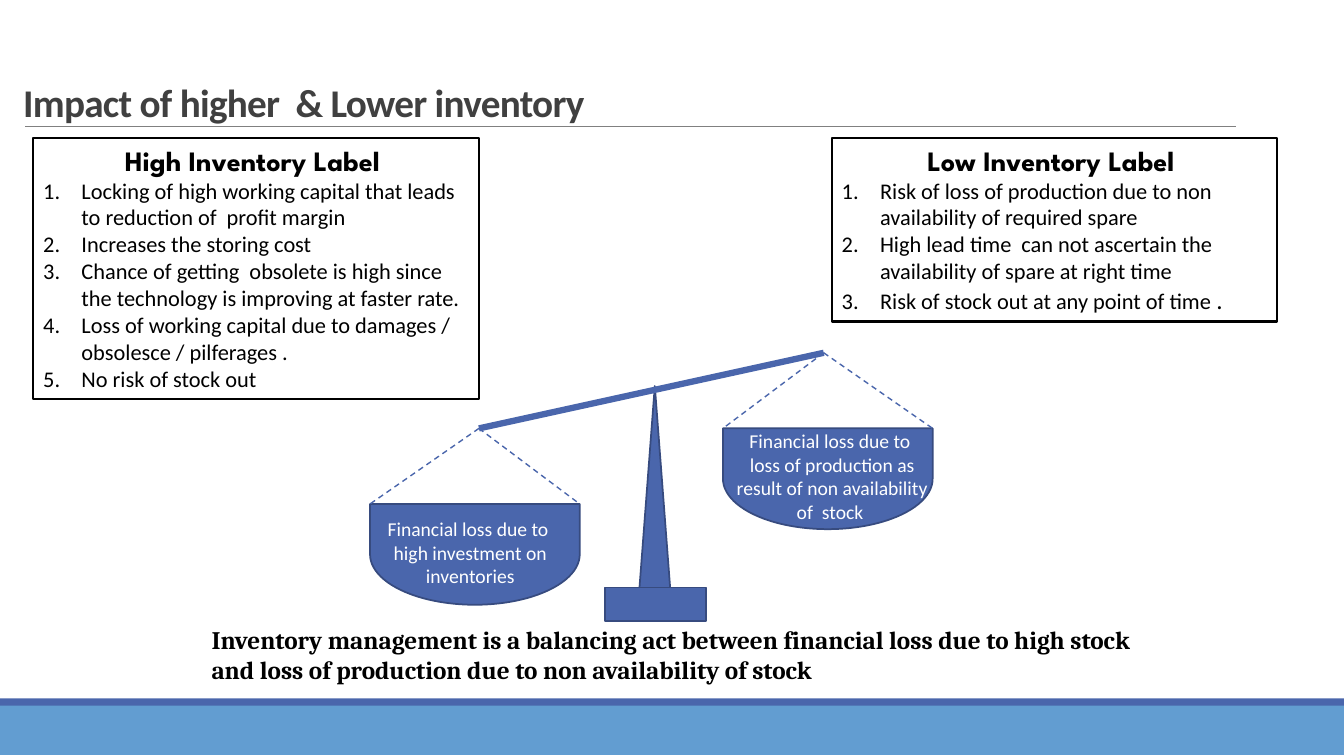
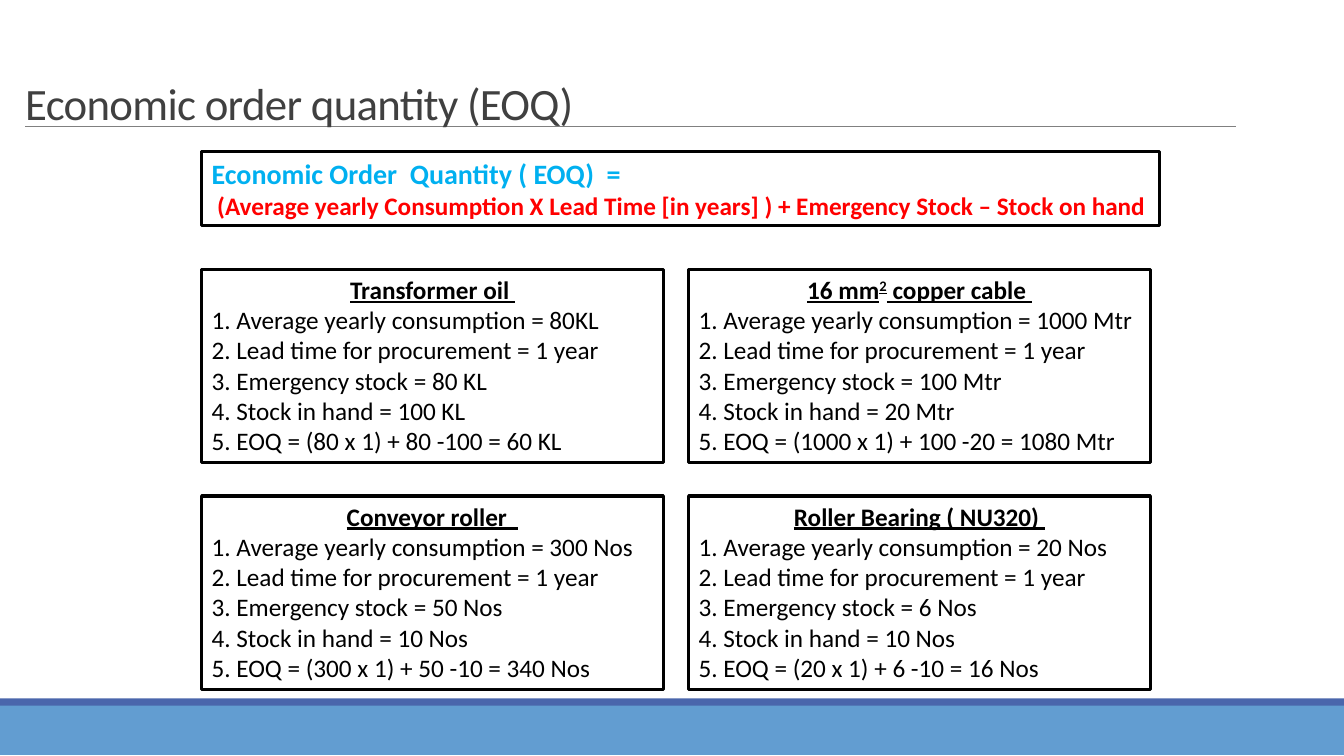
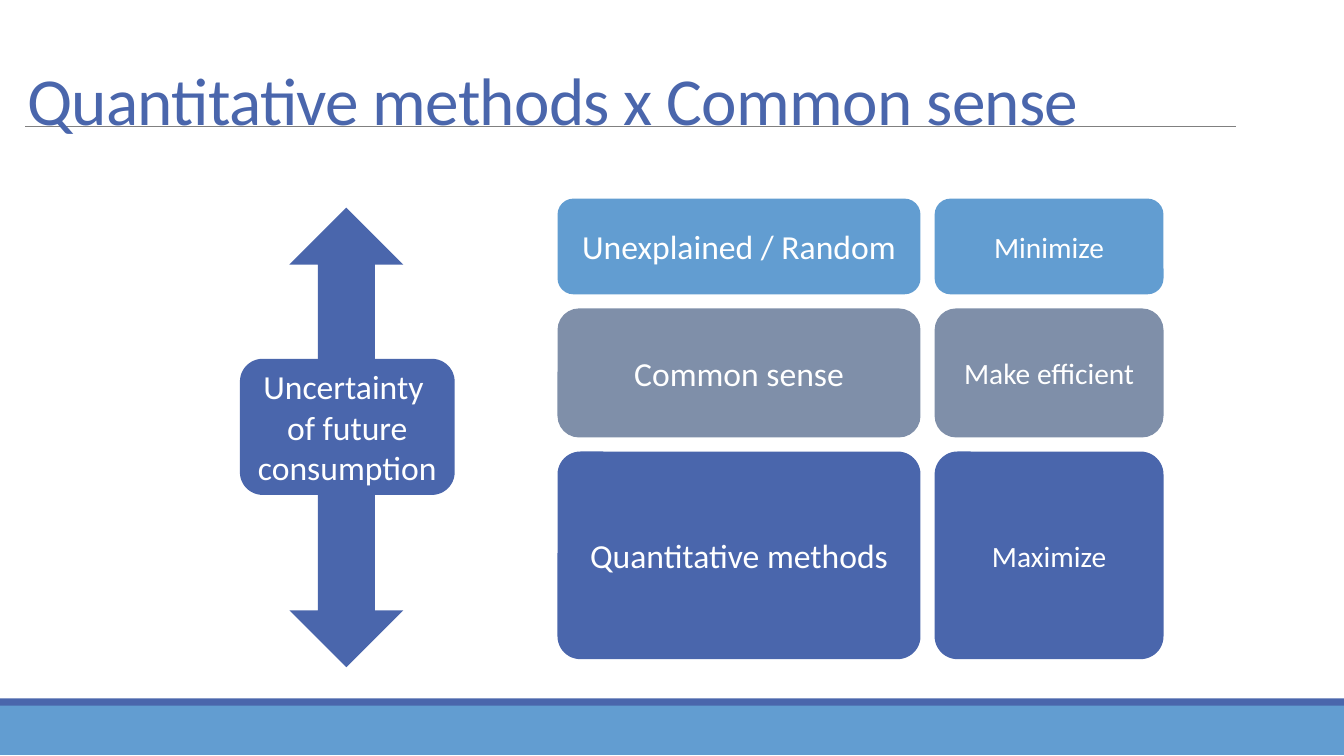
from dataclasses import dataclass

from lxml.etree import SubElement
from pptx import Presentation
from pptx.dml.color import RGBColor
from pptx.enum.dml import MSO_LINE
from pptx.enum.shapes import MSO_CONNECTOR, MSO_SHAPE
from pptx.enum.text import MSO_ANCHOR, MSO_AUTO_SIZE, PP_ALIGN
from pptx.oxml.ns import qn
from pptx.util import Inches, Pt


@dataclass(frozen=True)
class Theme:
    blue: str = "4A66AC"
    dark_blue: str = "374B7F"
    sky: str = "629DD1"
    slate: str = "7F8FA9"
    grey: str = "808080"
    title: str = "404040"
    black: str = "000000"
    white: str = "FFFFFF"
    cyan: str = "00B0F0"
    red: str = "FF0000"
    body_font: str = "Calibri"
    heading_font: str = "League Spartan"
    closing_font: str = "Cambria"
    pan_size: int = 14
    list_size: int = 16
    text_size: int = 18
    heading_size: int = 20
    action_size: int = 21
    block_size: int = 24


THEME = Theme()


@dataclass
class Para:
    """One paragraph; runs holds (text, size, baseline) parts that differ from it."""
    text: str
    size: int = THEME.text_size
    color: str = THEME.black
    font: str = THEME.body_font
    bold: bool = False
    underline: bool = False
    centered: bool = False
    numbered: bool = False
    runs: tuple = ()


def rgb(color):
    return RGBColor.from_string(color)


def write(shape, paras, anchor=MSO_ANCHOR.TOP, grow=True):
    frame = shape.text_frame
    frame.word_wrap = True
    frame.vertical_anchor = anchor
    frame.auto_size = MSO_AUTO_SIZE.SHAPE_TO_FIT_TEXT if grow else MSO_AUTO_SIZE.NONE
    for index, para in enumerate(paras):
        paragraph = frame.paragraphs[0] if index == 0 else frame.add_paragraph()
        paragraph.text = para.text
        paragraph.alignment = PP_ALIGN.CENTER if para.centered else PP_ALIGN.LEFT
        if para.numbered:
            properties = paragraph._p.get_or_add_pPr()
            properties.set("marL", str(Inches(0.38)))
            properties.set("indent", str(-Inches(0.38)))
            SubElement(properties, qn("a:buFont"), typeface="+mj-lt")
            SubElement(properties, qn("a:buAutoNum"), type="arabicPeriod")
        font = paragraph.font
        font.name, font.size = para.font, Pt(para.size)
        font.bold, font.underline = para.bold, para.underline
        font.color.rgb = rgb(para.color)
        for text, size, baseline in para.runs:
            run = paragraph.add_run()
            run.text = text
            if size:
                run.font.size = Pt(size)
            if baseline:
                run._r.get_or_add_rPr().set("baseline", str(baseline))


def add_block(slide, kind, left, top, width, height, fill=None, line=None, weight=1.25):
    block = slide.shapes.add_shape(
        kind, Inches(left), Inches(top), Inches(width), Inches(height))
    block.shadow.inherit = False
    if fill:
        block.fill.solid()
        block.fill.fore_color.rgb = rgb(fill)
    else:
        block.fill.background()
    if line:
        block.line.color.rgb = rgb(line)
        block.line.width = Pt(weight)
    else:
        block.line.fill.background()
    return block


def add_line(slide, start, end, color, weight, dash=None):
    line = slide.shapes.add_connector(
        MSO_CONNECTOR.STRAIGHT, *(Inches(value) for value in (*start, *end)))
    line.line.color.rgb = rgb(color)
    line.line.width = Pt(weight)
    if dash:
        line.line.dash_style = dash
    SubElement(line._element.spPr, qn("a:effectLst"))
    return line


def add_text(slide, left, top, width, height, para):
    box = slide.shapes.add_textbox(
        Inches(left), Inches(top), Inches(width), Inches(height))
    write(box, [para])


def add_panel(slide, left, top, width, height, paras, weight, anchor=MSO_ANCHOR.TOP):
    """Outlined text panel."""
    panel = add_block(slide, MSO_SHAPE.RECTANGLE, left, top, width, height,
                      line=THEME.black, weight=weight)
    write(panel, paras, anchor)


def add_label_block(slide, left, top, width, height, fill, text, size, corner=None):
    """Rounded block with a centred white label."""
    block = add_block(slide, MSO_SHAPE.ROUNDED_RECTANGLE, left, top, width, height, fill)
    if corner:
        block.adjustments[0] = corner
    frame = block.text_frame
    frame.margin_left = frame.margin_right = Inches(0.09)
    frame.margin_top = frame.margin_bottom = Inches(0.04)
    write(block, [Para(text, size, THEME.white, centered=True)], MSO_ANCHOR.MIDDLE, grow=False)


def decorate_layout(layout, slide):
    """Draw the bands and title rule on a slide, then move them to its layout."""
    decorations = (
        add_block(slide, MSO_SHAPE.RECTANGLE, 0, 6.99, 13.33, 0.5, THEME.sky),
        add_block(slide, MSO_SHAPE.RECTANGLE, 0, 6.93, 13.33, 0.07, THEME.blue),
        add_line(slide, (0.25, 1.25), (12.26, 1.25), THEME.grey, 0.5),
    )
    for decoration in decorations:
        layout.shapes.element.append(decoration._element)


def set_title(slide, left, top, width, height, para):
    title = slide.shapes.title
    title.left, title.top = Inches(left), Inches(top)
    title.width, title.height = Inches(width), Inches(height)
    write(title, [para], MSO_ANCHOR.BOTTOM, grow=False)
    paragraph = title.text_frame.paragraphs[0]
    paragraph.line_spacing = 0.85
    paragraph.runs[0]._r.get_or_add_rPr().set("spc", "-50")


def add_impact_panel(slide, left, height, heading, items):
    paras = [Para(heading, THEME.heading_size, font=THEME.heading_font,
                  bold=True, centered=True)]
    paras += [Para(item, THEME.list_size, numbered=True) for item in items[:-1]]
    last = items[-1]
    paras.append(last if isinstance(last, Para)
                 else Para(last, THEME.list_size, numbered=True))
    add_panel(slide, left, 1.37, 4.42, height, paras, 1.5)


def add_pan(slide, hook, rim_left, label_place, label):
    """Scale pan hanging on two cords from a hook."""
    rim_width, depth = 2.08, 1
    rim_top = hook[1] + 0.75
    overhang = (rim_width - depth) / 2
    pan = add_block(slide, MSO_SHAPE.FLOWCHART_DELAY, rim_left + overhang,
                    rim_top - overhang, depth, rim_width, THEME.blue, THEME.dark_blue)
    pan.rotation = 90
    for rim_end in (rim_left, rim_left + rim_width):
        add_line(slide, hook, (rim_end, rim_top), THEME.blue, 1, MSO_LINE.DASH)
    add_text(slide, *label_place, Para(label, THEME.pan_size, THEME.white, centered=True))


def build_impact(slide):
    set_title(slide, 0.13, 0.77, 9.25, 0.53,
              Para("Impact of higher  & Lower inventory", 28, THEME.title, bold=True))
    add_impact_panel(slide, 0.33, 2.59, "High Inventory Label ", (
        "Locking of high working capital that leads to reduction of  profit margin",
        "Increases the storing cost",
        "Chance of getting  obsolete is high since  the technology is improving at faster rate.",
        "Loss of working capital due to damages / obsolesce / pilferages .",
        "No risk of stock out",
    ))
    add_impact_panel(slide, 8.25, 1.82, "Low Inventory Label ", (
        "Risk of loss of production due to non availability of required spare",
        "High lead time  can not ascertain the  availability of spare at right time",
        Para("Risk of stock out at any point of time ", THEME.list_size, numbered=True,
             runs=((".", THEME.text_size, None),)),
    ))
    low_end, high_end = (4.75, 4.25), (8.17, 3.5)
    add_block(slide, MSO_SHAPE.ISOSCELES_TRIANGLE, 6.33, 3.83, 0.33, 2.17,
              THEME.blue, THEME.dark_blue)
    add_line(slide, low_end, high_end, THEME.blue, 4.5)
    add_block(slide, MSO_SHAPE.RECTANGLE, 6, 5.83, 1, 0.33, THEME.blue, THEME.dark_blue)
    add_pan(slide, low_end, 3.67, (3.58, 5.08, 2.17, 0.81),
            "Financial loss due to  high investment on inventories")
    add_pan(slide, high_end, 7.17, (7.17, 4.21, 2.17, 1.04),
            "Financial loss due to  loss of production as result of non availability of  stock ")
    add_text(slide, 2, 6.14, 9.5, 0.71, Para(
        "Inventory management is a balancing act between financial loss due to high stock "
        "and loss of production due to non availability of stock",
        font=THEME.closing_font, bold=True))


def build_order_quantity(slide):
    set_title(slide, 0.15, 0.47, 9, 0.87,
              Para("Economic order quantity (EOQ)", 32, THEME.title))
    add_panel(slide, 2, 1.5, 9.5, 0.74, [
        Para("Economic Order  Quantity ( EOQ)  =", THEME.heading_size, THEME.cyan, bold=True),
        Para(" (Average yearly Consumption X Lead Time [in years] ) + Emergency Stock"
             " – Stock on hand", color=THEME.red, bold=True),
    ], 2.25, MSO_ANCHOR.MIDDLE)

    measures = ("Average yearly consumption", "Lead time for procurement",
                "Emergency stock", "Stock in hand", "EOQ")
    heading_style = dict(bold=True, underline=True, centered=True)
    examples = (
        (Para("Transformer oil ", **heading_style),
         ("80KL", "1 year", "80 KL", "100 KL", "(80 x 1) + 80 -100 = 60 KL")),
        (Para("16 mm", runs=(("2", None, 30000), (" copper cable ", None, None)),
              **heading_style),
         ("1000 Mtr", "1 year", "100 Mtr", "20 Mtr", "(1000 x 1) + 100 -20 = 1080 Mtr")),
        (Para("Conveyor roller  ", **heading_style),
         ("300 Nos", "1 year", "50 Nos", "10 Nos", "(300 x 1) + 50 -10 = 340 Nos")),
        (Para("Roller Bearing ( NU320) ", **heading_style),
         ("20 Nos", "1 year", "6 Nos", "10 Nos", "(20 x 1) + 6 -10 = 16 Nos")),
    )
    for index, (heading, values) in enumerate(examples):
        row, column = divmod(index, 2)
        lines = [Para(f"{number}. {measure} = {value}")
                 for number, (measure, value) in enumerate(zip(measures, values), 1)]
        add_panel(slide, 2 + 4.83 * column, 2.67 + 2.25 * row, 4.58, 1.92,
                  [heading, *lines], 2.25)


def build_methods(slide):
    set_title(slide, 0.17, 0.49, 11.95, 0.94,
              Para("Quantitative methods x Common sense", 48, THEME.blue))
    gap, method_left, method_width, action_width = 0.14, 5.53, 3.6, 2.27
    action_left = method_left + method_width + gap
    levels = (
        ("Unexplained / Random", "Minimize", 0.95, THEME.sky, None),
        ("Common sense", "Make efficient", 1.28, THEME.slate, None),
        ("Quantitative methods", "Maximize", 2.06, THEME.blue, 0.11),
    )
    top = 1.97
    for method, action, height, color, corner in levels:
        add_label_block(slide, method_left, top, method_width, height, color,
                        method, THEME.block_size, corner)
        add_label_block(slide, action_left, top, action_width, height, color,
                        action, THEME.action_size, corner)
        top += height + gap
    add_block(slide, MSO_SHAPE.UP_DOWN_ARROW, 2.87, 2.06, 1.13, 4.56, THEME.blue)
    add_label_block(slide, 2.38, 3.56, 2.13, 1.35, THEME.blue,
                    "Uncertainty \vof future consumption", THEME.block_size)


def main():
    deck = Presentation()
    deck.slide_width, deck.slide_height = Inches(13.33), Inches(7.5)
    layout = deck.slide_layouts.get_by_name("Title Only")
    builders = (build_impact, build_order_quantity, build_methods)
    slides = [deck.slides.add_slide(layout) for _ in builders]
    decorate_layout(layout, slides[0])
    for build, slide in zip(builders, slides):
        build(slide)
    deck.save("out.pptx")


if __name__ == "__main__":
    main()
